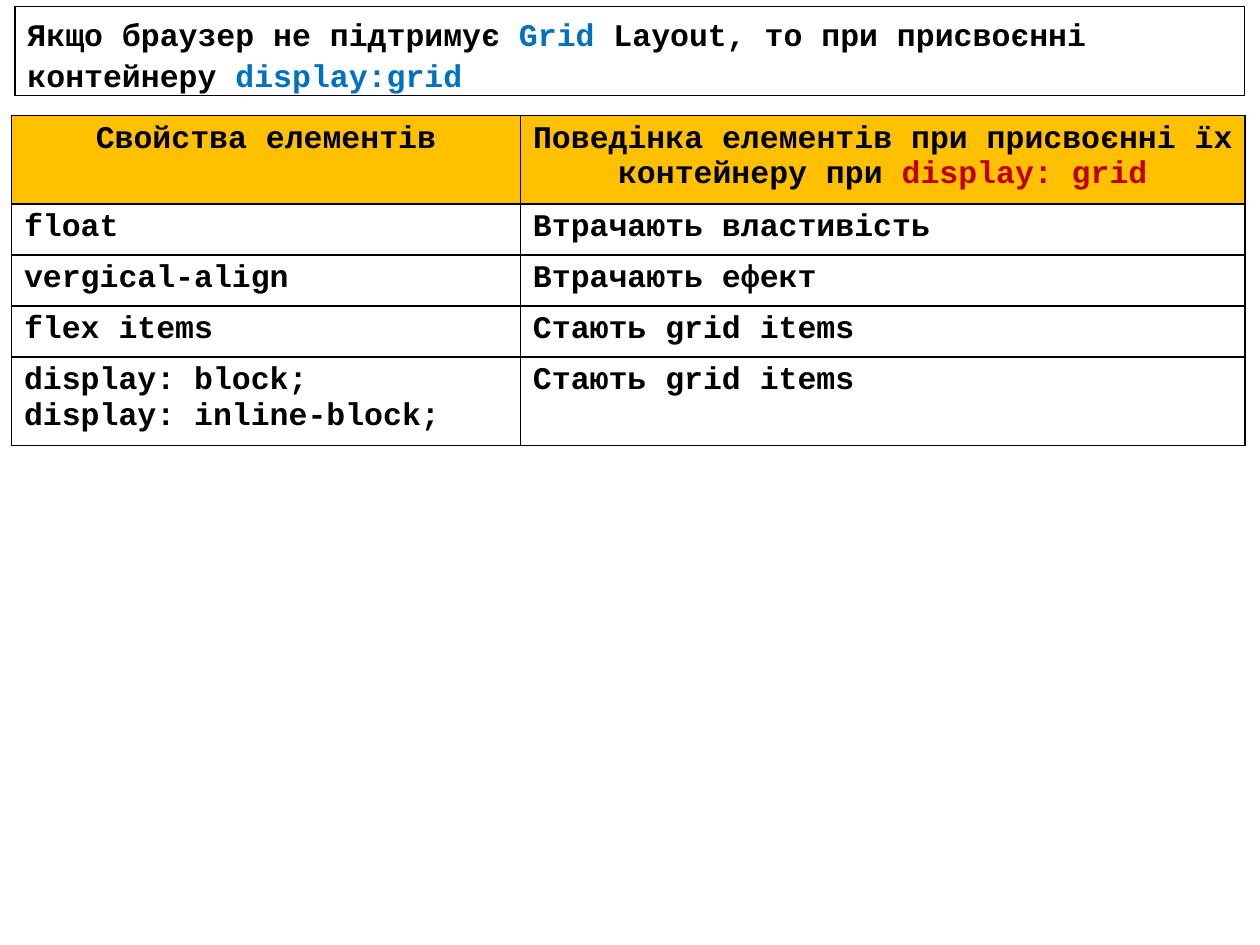
"""Builds a slide on how element properties behave inside a grid container."""
from lxml import etree
from pptx import Presentation
from pptx.dml.color import RGBColor
from pptx.enum.text import MSO_ANCHOR, MSO_AUTO_SIZE, PP_ALIGN
from pptx.oxml.ns import qn
from pptx.util import Cm, Pt

LEFT, CENTER = PP_ALIGN.LEFT, PP_ALIGN.CENTER
TOP, NO_AUTOFIT = MSO_ANCHOR.TOP, MSO_AUTO_SIZE.NONE
COLORS = {"text": "000000", "blue": "0070C0", "red": "C00000", "header": "FFC000"}
TITLE_ONLY = 5


def write_text(text_frame, paragraphs, alignment):
    text_frame.text = "\n".join("".join(text for text, _ in runs) for runs in paragraphs)
    for paragraph, runs in zip(text_frame.paragraphs, paragraphs):
        paragraph.alignment = alignment
        paragraph.runs[0].text = runs[0][0]
        for text, _ in runs[1:]:
            paragraph.add_run().text = text
        for run, (_, color) in zip(paragraph.runs, runs):
            run.font.name = "Courier New"
            run.font.size = Pt(18)
            run.font.bold = True
            run.font.color.rgb = RGBColor.from_string(COLORS[color])


def add_borders(cell):
    properties = cell._tc.get_or_add_tcPr()
    for side in ("a:lnL", "a:lnR", "a:lnT", "a:lnB"):
        border = etree.SubElement(properties, qn(side), w=str(Pt(1)))
        fill = etree.SubElement(border, qn("a:solidFill"))
        etree.SubElement(fill, qn("a:srgbClr"), val=COLORS["text"])


presentation = Presentation()
presentation.slide_width = Cm(25.4)
presentation.slide_height = Cm(19.05)
slide = presentation.slides.add_slide(presentation.slide_layouts[TITLE_ONLY])

title = slide.shapes.title
title.left, title.top, title.width, title.height = Cm(0.3), Cm(0.13), Cm(24.79), Cm(1.8)
title.line.color.rgb = RGBColor.from_string(COLORS["text"])
title.line.width = Pt(0.75)
title.text_frame.auto_size = NO_AUTOFIT
title.text_frame.vertical_anchor = TOP
write_text(title.text_frame, [
    [("Якщо браузер не підтримує ", "text"), ("Grid ", "blue"),
     ("Layout, то при присвоєнні", "text")],
    [("контейнеру ", "text"), ("display:grid", "blue")],
], LEFT)
for paragraph in title.text_frame.paragraphs:
    paragraph.line_spacing = 1.07

header = [
    [[("Свойства елементів", "text")]],
    [[("Поведінка елементів при присвоєнні їх контейнеру при ", "text"),
      ("display: grid", "red")]],
]
behaviours = [
    ("float", "Втрачають властивість"),
    ("vergical-align", "Втрачають ефект"),
    ("flex items", "Стають grid items"),
    ("display: block;\ndisplay: inline-block;", "Стають grid items"),
]
rows = [header] + [
    [[[(line, "text")] for line in text.split("\n")] for text in row] for row in behaviours
]
row_heights = [1.78, 1.03, 1.03, 1.03, 1.78]

table = slide.shapes.add_table(
    len(rows), 2, Cm(0.23), Cm(2.33), Cm(24.87), Cm(sum(row_heights))).table
for column, width in zip(table.columns, (10.26, 14.61)):
    column.width = Cm(width)
for row_index, (row, height) in enumerate(zip(rows, row_heights)):
    table.rows[row_index].height = Cm(height)
    for column_index, paragraphs in enumerate(row):
        cell = table.cell(row_index, column_index)
        add_borders(cell)
        if row_index == 0:
            cell.fill.solid()
            cell.fill.fore_color.rgb = RGBColor.from_string(COLORS["header"])
        else:
            cell.fill.background()
        write_text(cell.text_frame, paragraphs, LEFT if row_index else CENTER)

presentation.save("out.pptx")
